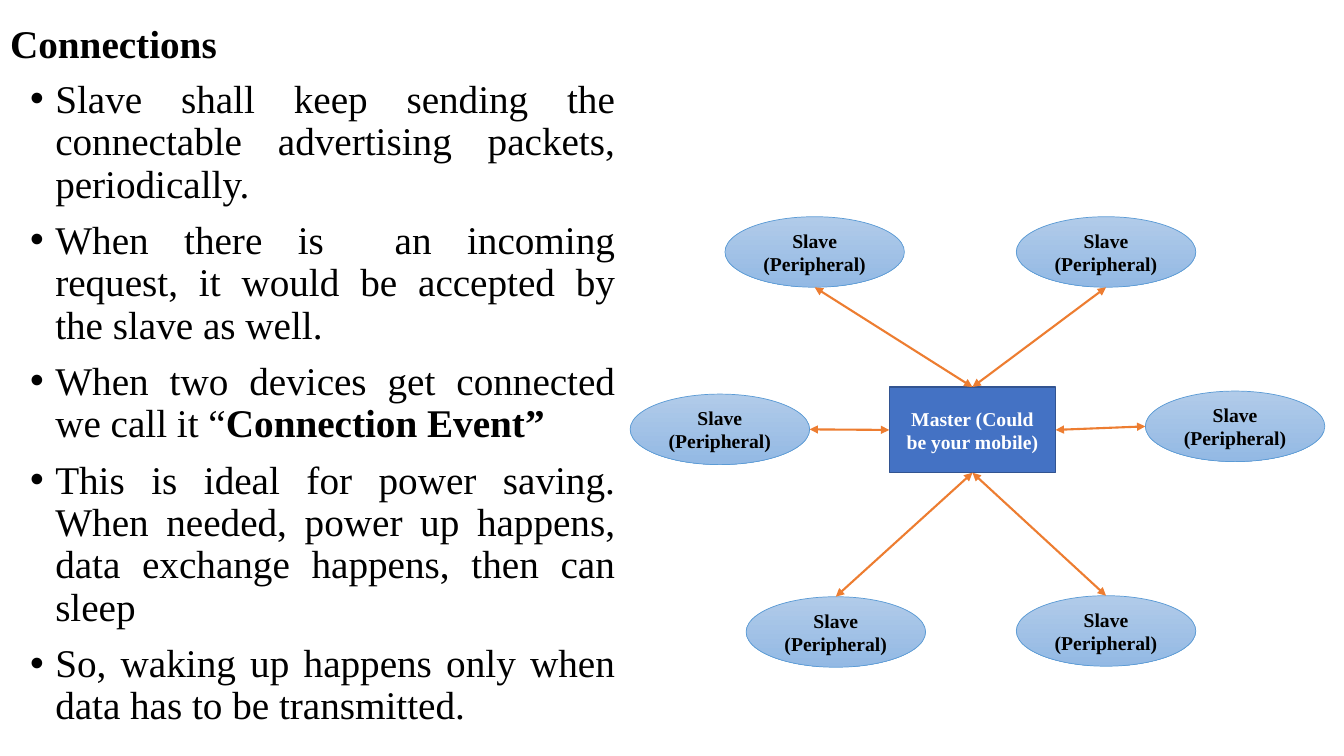
from dataclasses import dataclass

from lxml import etree
from pptx import Presentation
from pptx.dml.color import RGBColor
from pptx.enum.shapes import MSO_CONNECTOR, MSO_SHAPE
from pptx.enum.text import MSO_ANCHOR, MSO_AUTO_SIZE, PP_ALIGN
from pptx.oxml.ns import qn
from pptx.shapes.autoshape import Shape
from pptx.slide import Slide
from pptx.text.text import Font, TextFrame
from pptx.util import Inches, Pt

STRAIGHT = MSO_CONNECTOR.STRAIGHT
RECTANGLE, OVAL = MSO_SHAPE.RECTANGLE, MSO_SHAPE.OVAL
TOP, MIDDLE = MSO_ANCHOR.TOP, MSO_ANCHOR.MIDDLE
NO_AUTOFIT = MSO_AUTO_SIZE.NONE
LEFT, CENTER, JUSTIFY = PP_ALIGN.LEFT, PP_ALIGN.CENTER, PP_ALIGN.JUSTIFY
TOP_SIDE, LEFT_SIDE, BOTTOM_SIDE, RIGHT_SIDE = range(4)

SLIDE_WIDTH, SLIDE_HEIGHT = Inches(13.33), Inches(7.5)
COLUMN, ROW = SLIDE_WIDTH / 133.3, SLIDE_HEIGHT / 75
TITLE_ONLY = 5
FONT_NAME = "Times New Roman"
BLACK, WHITE, ORANGE = "000000", "FFFFFF", "ED7D31"
MASTER_FILL, MASTER_LINE = "4472C4", "325491"
SLAVE_FILL, SLAVE_LINE = ("B1CBE9", "93B9E4"), "5B9BD5"
INDENT = Inches(0.25)


@dataclass(frozen=True)
class Area:
    column: float
    row: float
    columns: float
    rows: float

    def place(self) -> tuple[int, int, int, int]:
        return (round(self.column * COLUMN), round(self.row * ROW),
                round(self.columns * COLUMN), round(self.rows * ROW))

    def side_middle(self, side: int) -> tuple[int, int]:
        left, top, width, height = self.place()
        across, down = {TOP_SIDE: (0.5, 0), LEFT_SIDE: (0, 0.5),
                        BOTTOM_SIDE: (0.5, 1), RIGHT_SIDE: (1, 0.5)}[side]
        return round(left + across * width), round(top + down * height)


@dataclass(frozen=True)
class Slave:
    column: float
    row: float
    master_side: int

    def area(self) -> Area:
        return Area(self.column, self.row, 17.8, 7)


@dataclass(frozen=True)
class Span:
    text: str
    bold: bool = False


TITLE_AREA = Area(0, 0, 110, 9)
BODY_AREA = Area(2, 7.4, 60, 61.1)
MASTER_AREA = Area(88.2, 38.4, 16.5, 8.5)
SLAVES = [
    Slave(71.9, 21.5, TOP_SIDE),
    Slave(100.8, 21.5, TOP_SIDE),
    Slave(62.5, 39.1, LEFT_SIDE),
    Slave(113.6, 38.8, RIGHT_SIDE),
    Slave(74, 59.2, BOTTOM_SIDE),
    Slave(100.8, 59.1, BOTTOM_SIDE),
]
BULLETS = [
    [Span("Slave shall keep sending the connectable advertising packets, periodically.")],
    [Span("When there is  an incoming request, it would be accepted by the slave as well.")],
    [Span("When two devices get connected we call it “"), Span("Connection Event”", True)],
    [Span("This is ideal for power saving. When needed, power up happens, "
          "data exchange happens, then can sleep")],
    [Span("So, waking up happens only when data has to be transmitted.")],
]


def color(value: str) -> RGBColor:
    return RGBColor.from_string(value)


def style_font(font: Font, size: float, value: str) -> None:
    font.name, font.size = FONT_NAME, Pt(size)
    font.color.rgb = color(value)


def style_frame(frame: TextFrame, anchor: MSO_ANCHOR) -> None:
    frame.word_wrap = True
    frame.auto_size = NO_AUTOFIT
    frame.vertical_anchor = anchor


def add_title(page: Slide) -> None:
    title = page.shapes.title
    title.left, title.top, title.width, title.height = TITLE_AREA.place()
    title.text_frame.text = "Connections"
    style_frame(title.text_frame, MIDDLE)
    para = title.text_frame.paragraphs[0]
    para.alignment, para.line_spacing = LEFT, 0.9
    style_font(para.font, 28, BLACK)
    para.font.bold = True


def add_bullets(page: Slide) -> None:
    frame = page.shapes.add_textbox(*BODY_AREA.place()).text_frame
    style_frame(frame, TOP)
    for index, spans in enumerate(BULLETS):
        para = frame.add_paragraph() if index else frame.paragraphs[0]
        para.alignment, para.line_spacing = JUSTIFY, 0.9
        para.space_before = Pt(10)
        style_font(para.font, 28, BLACK)
        properties = para._p.get_or_add_pPr()
        properties.set("marL", str(INDENT))
        properties.set("indent", str(-INDENT))
        bullet_font = etree.Element(qn("a:buFont"), typeface="Arial")
        bullet = etree.Element(qn("a:buChar"), char="•")
        properties.find(qn("a:defRPr")).addprevious(bullet_font)
        bullet_font.addnext(bullet)
        for span in spans:
            run = para.add_run()
            run.text = span.text
            if span.bold:
                run.font.bold = True


def add_device(page: Slide, kind: MSO_SHAPE, area: Area, text: str,
               text_color: str, line_color: str, line_width: float) -> Shape:
    device = page.shapes.add_shape(kind, *area.place())
    device.shadow.inherit = False
    device.line.color.rgb = color(line_color)
    device.line.width = Pt(line_width)
    device.text_frame.text = text
    style_frame(device.text_frame, MIDDLE)
    para = device.text_frame.paragraphs[0]
    para.alignment = CENTER
    style_font(para.font, 14, text_color)
    para.font.bold = True
    return device


def add_master(page: Slide) -> Shape:
    master = add_device(page, RECTANGLE, MASTER_AREA, "Master (Could be your mobile)",
                        WHITE, MASTER_LINE, 1)
    master.fill.solid()
    master.fill.fore_color.rgb = color(MASTER_FILL)
    return master


def add_slave(page: Slide, slave: Slave) -> None:
    oval = add_device(page, OVAL, slave.area(), "Slave (Peripheral)",
                      BLACK, SLAVE_LINE, 0.5)
    oval.fill.gradient()
    oval.fill.gradient_angle = 270
    for stop, value in zip(oval.fill.gradient_stops, SLAVE_FILL):
        stop.color.rgb = color(value)


def add_link(page: Slide, master: Shape, slave: Slave) -> None:
    side = slave.master_side
    start = MASTER_AREA.side_middle(side)
    end = slave.area().side_middle((side + 2) % 4)
    link = page.shapes.add_connector(STRAIGHT, *start, *end)
    link.begin_connect(master, side)
    link.line.color.rgb = color(ORANGE)
    link.line.width = Pt(1.5)
    outline = link.line._get_or_add_ln()
    for arrowhead in ("a:headEnd", "a:tailEnd"):
        etree.SubElement(outline, qn(arrowhead), type="triangle")
    etree.SubElement(link._element.spPr, qn("a:effectLst"))


def main() -> None:
    deck = Presentation()
    deck.slide_width, deck.slide_height = SLIDE_WIDTH, SLIDE_HEIGHT
    page = deck.slides.add_slide(deck.slide_layouts[TITLE_ONLY])
    add_title(page)
    add_bullets(page)
    master = add_master(page)
    for slave in SLAVES:
        add_slave(page, slave)
    for slave in SLAVES:
        add_link(page, master, slave)
    deck.save("out.pptx")


if __name__ == "__main__":
    main()
